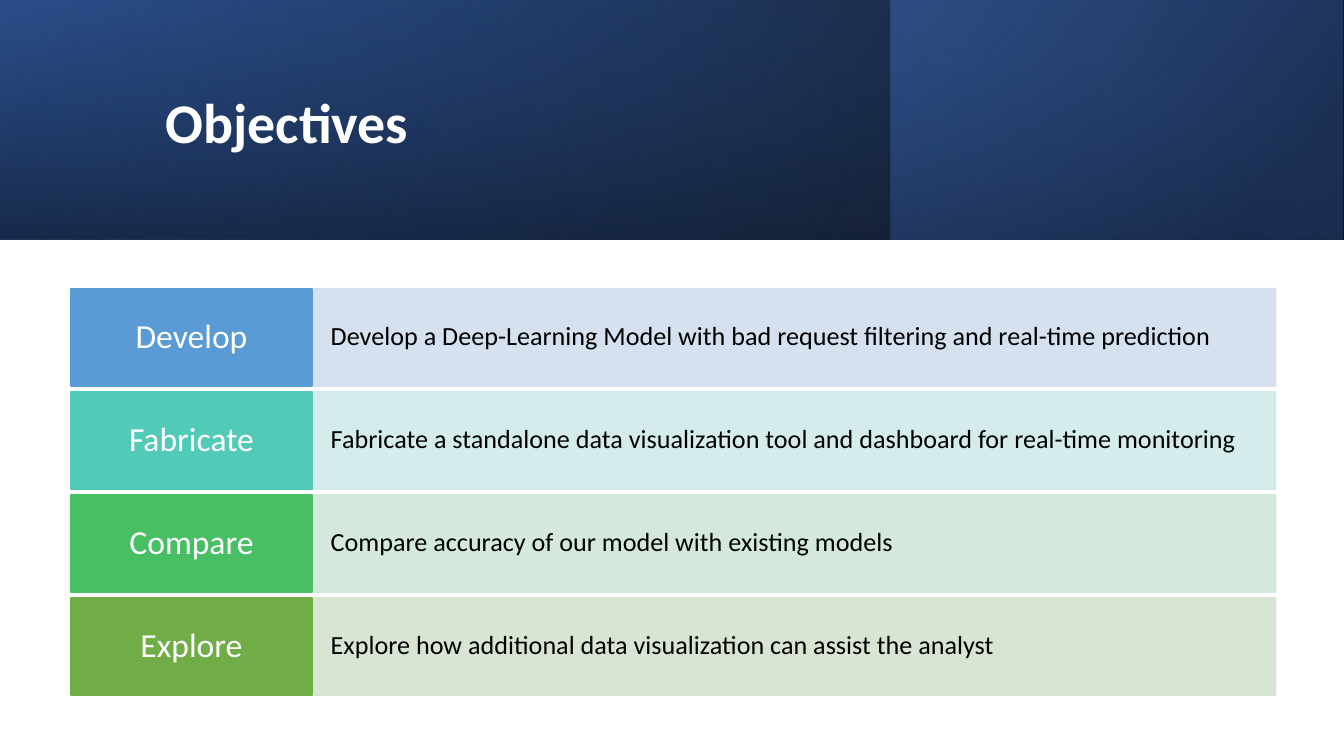
from dataclasses import dataclass

from lxml.etree import SubElement
from pptx import Presentation
from pptx.dml.color import RGBColor as Rgb
from pptx.enum.shapes import MSO_SHAPE as Kind
from pptx.enum.text import MSO_ANCHOR as Anchor, MSO_AUTO_SIZE as Fit, PP_ALIGN as Align
from pptx.oxml.ns import qn
from pptx.util import Pt


@dataclass(frozen=True)
class Theme:
    font: str = "Calibri"
    white: str = "FFFFFF"
    black: str = "000000"
    blue: str = "2F5597"
    navy: str = "203864"
    sky: str = "4472C4"
    hues: tuple = ("5B9BD5", "52CAB8", "49BF64", "70AD47")
    tints: tuple = ("D2DEEF", "D0ECEA", "D0E7D8", "D5E3CF")
    head: int = 30
    label: int = 18
    body: int = 14


THEME = Theme()

GOALS = [
    ("Develop", "Develop a Deep-Learning Model with bad request filtering and real-time prediction"),
    ("Fabricate", "Fabricate a standalone data visualization tool and dashboard for real-time monitoring"),
    ("Compare", "Compare accuracy of our model with existing models"),
    ("Explore", "Explore how additional data visualization can assist the analyst"),
]


def write(shape, text, size, color, bold=False, align=Align.LEFT, pad=(7.2, 3.6)):
    frame = shape.text_frame
    frame.word_wrap = True
    frame.auto_size = Fit.NONE
    frame.vertical_anchor = Anchor.MIDDLE
    frame.margin_left = frame.margin_right = Pt(pad[0])
    frame.margin_top = frame.margin_bottom = Pt(pad[1])
    line = frame.paragraphs[0]
    line.alignment = align
    line.line_spacing = 0.9
    run = line.add_run()
    run.text = text
    font = run.font
    font.name, font.size, font.bold = THEME.font, Pt(size), bold
    font.color.rgb = Rgb.from_string(color)


def fade(shape, alphas):
    tones = shape._element.spPr.iter(qn("a:srgbClr"))
    for tone, alpha in zip(list(tones), alphas):
        SubElement(tone, qn("a:alpha")).set("val", str(alpha * 1000))


def add_rect(shapes, box):
    rect = shapes.add_shape(Kind.RECTANGLE, *map(Pt, box))
    rect.shadow.inherit = False
    return rect


def add_shade(shapes, box, stops, angle, turn=0):
    rect = add_rect(shapes, box)
    rect.rotation = turn
    rect._element.spPr.get_or_add_xfrm().set("flipH", "1")
    rect.line.fill.background()
    rect.fill.gradient()
    rect.fill.gradient_angle = 360 - angle
    for stop, (place, color, alpha) in zip(rect.fill.gradient_stops, stops):
        stop.position = place / 100
        stop.color.rgb = Rgb.from_string(color)
    fade(rect, [alpha for place, color, alpha in stops])


def add_block(shapes, box, color):
    rect = add_rect(shapes, box)
    for fill in (rect.fill, rect.line.fill):
        fill.solid()
        fill.fore_color.rgb = Rgb.from_string(color)
    rect.line.width = Pt(1)
    return rect


def add_header(slide, box, text):
    left, top, width, height = box
    shapes = slide.shapes
    add_shade(shapes, box, [(0, THEME.black, 96), (100, THEME.blue, 100)], 330)
    add_shade(shapes, (left + 477, top, 242.2, height),
              [(19, THEME.navy, 68), (100, THEME.sky, 48)], 320)
    inset = (width - height) / 2
    add_shade(shapes, (left + inset, top - inset, height, width),
              [(23, THEME.blue, 16), (99, THEME.black, 45)], 350, turn=270)
    title = shapes.title
    title.left, title.top = Pt(left + 81.4), Pt(top + 20.9)
    title.width, title.height = Pt(573.8), Pt(92.9)
    write(title, text, THEME.head, THEME.white, bold=True)
    slide.shapes._spTree.append(title._element)


def add_goals(slide, box, goals):
    left, top, width, height = box
    gap, split = 3.2, 129.2
    tall = (height - gap * (len(goals) - 1)) / len(goals)
    shapes = slide.shapes.add_group_shape().shapes
    rows = zip(goals, THEME.hues, THEME.tints)
    for step, ((name, text), hue, tint) in enumerate(rows):
        y = top + step * (tall + gap)
        panel = add_block(shapes, (left + split, y, width - split, tall), tint)
        fade(panel, (90, 90))
        write(panel, text, THEME.body, THEME.black, pad=(10, 13))
        label = add_block(shapes, (left, y, split, tall), hue)
        write(label, name, THEME.label, THEME.white, align=Align.CENTER, pad=(6.8, 5.1))


def main():
    deck = Presentation()
    deck.slide_width, deck.slide_height = Pt(720), Pt(405)
    slide = deck.slides.add_slide(deck.slide_layouts[5])
    add_header(slide, (0, 0, 720, 128.4), "Objectives")
    add_goals(slide, (38, 154.8, 645.4, 217.6), GOALS)
    deck.save("out.pptx")


if __name__ == "__main__":
    main()
